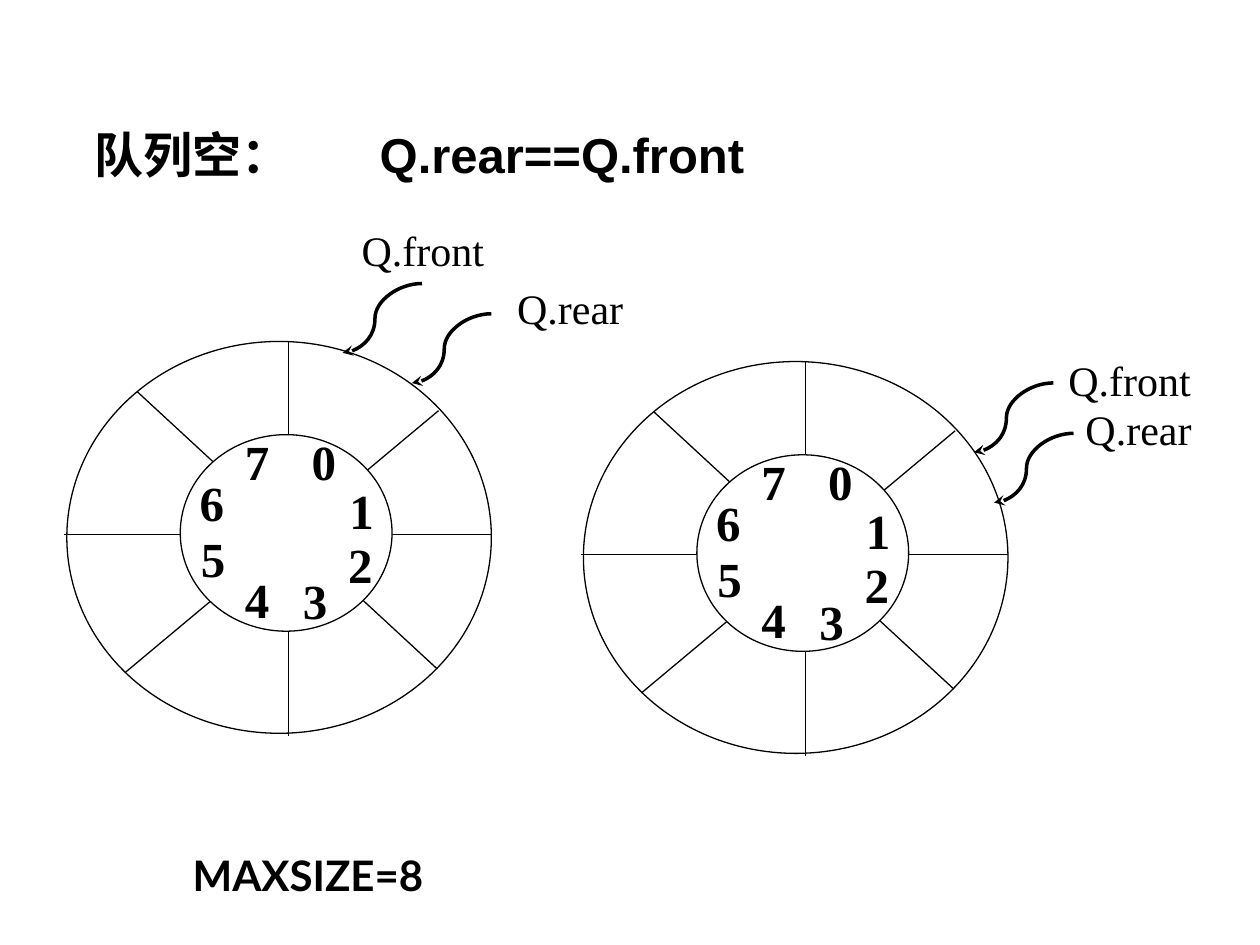
from dataclasses import dataclass

from lxml.etree import SubElement
from pptx import Presentation
from pptx.dml.color import RGBColor
from pptx.enum.shapes import MSO_CONNECTOR as Connector, MSO_SHAPE as Shape
from pptx.enum.text import MSO_ANCHOR as Anchor, MSO_AUTO_SIZE as AutoSize, PP_ALIGN as Align
from pptx.oxml.ns import qn
from pptx.util import Pt


@dataclass(frozen=True)
class Theme:
    ink: RGBColor = RGBColor(0, 0, 0)
    paper: RGBColor = RGBColor(255, 255, 255)
    heading: str = "Lato"
    code: str = "Arial"
    body: str = "Times New Roman"
    large: int = 28
    small: int = 24
    thin: float = 0.75
    thick: float = 2


THEME = Theme()
LABEL_SIZE = (90, 33)
DIGIT_SIZE = (17.3, 18)
ARROW_SPAN = (-45.4, 39.6)
ARROW_BEND = 59200
RING_SIZE = (242.6, 223.9)
HUB = (64.8, 53.3, 121, 112.3)
SPOKES = [
    ((-1.4, 110.2), (242.6, 110.2)),
    ((126.7, 0), (126.7, 225.4)),
    ((212.4, 39.6), (33.1, 189.4)),
    ((40.3, 28.8), (211.7, 187.2)),
]
# Top left of each index, in order from 0 to 7
DIGITS = [(138.2, 61.2), (159.8, 89.3), (159.1, 120.2), (133.2, 141.1),
          (100.1, 140.4), (74.9, 116.6), (100.1, 61.2), (74.2, 85)]
DIGITS[6], DIGITS[7] = DIGITS[7], DIGITS[6]

# Ring origin, then name, label offset and arrow start offset of each pointer
RINGS = [
    ((38.2, 195.1), [("Q.front", (158.4, -67), (203, -33.1)),
                     ("Q.rear", (242.6, -33.8), (242.6, -15.8))]),
    ((333.4, 206.6), [("Q.front", (267.1, -4.3), (268.6, 12.2)),
                      ("Q.rear", (272.2, 23.8), (280.1, 41))]),
]


def points(*values):
    return [Pt(value) for value in values]


def apply(target, formats):
    for name, value in formats.items():
        setattr(target, name, value)


def write(frame, pieces, size, bold=True, align=Align.CENTER, tab=None, **frame_formats):
    """Fill a frame with one paragraph of (text, font) pieces."""
    apply(frame, {"word_wrap": True, **frame_formats})
    paragraph = frame.paragraphs[0]
    apply(paragraph, {"alignment": align, "line_spacing": 0.9})
    if tab:
        stops = SubElement(paragraph._p.get_or_add_pPr(), qn("a:tabLst"))
        SubElement(stops, qn("a:tab"), pos=str(Pt(tab)), algn="l")
    for text, font in pieces:
        run = paragraph.add_run()
        run.text = text
        apply(run.font, {"name": font, "size": Pt(size), "bold": bold})
        run.font.color.rgb = THEME.ink


def add_filled(shapes, kind, box, outlined):
    shape = shapes.add_shape(kind, *points(*box))
    shape.shadow.inherit = False
    shape.fill.solid()
    shape.fill.fore_color.rgb = THEME.paper
    if outlined:
        shape.line.color.rgb = THEME.ink
        shape.line.width = Pt(THEME.thin)
    else:
        shape.line.fill.background()
    return shape


def add_line(shapes, kind, start, end, width):
    line = shapes.add_connector(kind, *points(*start, *end))
    line.line.color.rgb = THEME.ink
    line.line.width = Pt(width)
    SubElement(line._element.spPr, qn("a:effectLst"))
    return line


def add_ring(shapes, box):
    """Draw the circular queue: outer ring, spokes, hub and cell indices."""
    left, top, width, height = box

    def at(offset):
        return left + offset[0], top + offset[1]

    add_filled(shapes, Shape.OVAL, box, outlined=True)
    for start, end in SPOKES:
        add_line(shapes, Connector.STRAIGHT, at(start), at(end), THEME.thin)
    add_filled(shapes, Shape.OVAL, (*at(HUB[:2]), *HUB[2:]), outlined=True)
    for index, offset in enumerate(DIGITS):
        cell = add_filled(shapes, Shape.RECTANGLE, (*at(offset), *DIGIT_SIZE), outlined=False)
        write(cell.text_frame, [(str(index), THEME.body)], THEME.large,
              word_wrap=False, vertical_anchor=Anchor.MIDDLE)


def add_pointer(shapes, name, label_at, start):
    """Draw a pointer name and its curved arrow."""
    label = shapes.add_textbox(*points(*label_at, *LABEL_SIZE))
    write(label.text_frame, [(name, THEME.body)], THEME.small, bold=False,
          margin_left=0, margin_right=0, auto_size=AutoSize.SHAPE_TO_FIT_TEXT)
    end = (start[0] + ARROW_SPAN[0], start[1] + ARROW_SPAN[1])
    arrow = add_line(shapes, Connector.CURVE, start, end, THEME.thick)
    SubElement(arrow.line._get_or_add_ln(), qn("a:tailEnd"), type="stealth")
    geometry = arrow._element.spPr.find(qn("a:prstGeom"))
    adjustments = geometry.find(qn("a:avLst"))
    SubElement(adjustments, qn("a:gd"), name="adj1", fmla=f"val {ARROW_BEND}")


def add_queue(slide, origin, pointers):
    left, top = origin
    shapes = slide.shapes.add_group_shape().shapes
    add_ring(shapes, (left, top, *RING_SIZE))
    for name, label, start in pointers:
        add_pointer(shapes, name, (left + label[0], top + label[1]),
                    (left + start[0], top + start[1]))


def add_condition(slide, box):
    condition = slide.shapes.add_textbox(*points(*box))
    write(condition.text_frame,
          [("队列空：\t", THEME.heading), ("Q.rear==Q.front", THEME.code)],
          THEME.large, align=Align.LEFT, tab=163, margin_left=0, margin_right=0)


def add_capacity(slide, box):
    capacity = slide.shapes.add_textbox(*points(*box))
    write(capacity.text_frame, [("MAXSIZE=8", THEME.heading)], THEME.small,
          auto_size=AutoSize.SHAPE_TO_FIT_TEXT)


def main():
    deck = Presentation()
    apply(deck, {"slide_width": Pt(720), "slide_height": Pt(540)})
    slide = deck.slides.add_slide(deck.slide_layouts[6])
    add_condition(slide, (54, 71.3, 433.4, 73.4))
    add_capacity(slide, (54, 485.3, 244, 33))
    for origin, pointers in RINGS:
        add_queue(slide, origin, pointers)
    deck.save("out.pptx")


if __name__ == "__main__":
    main()
